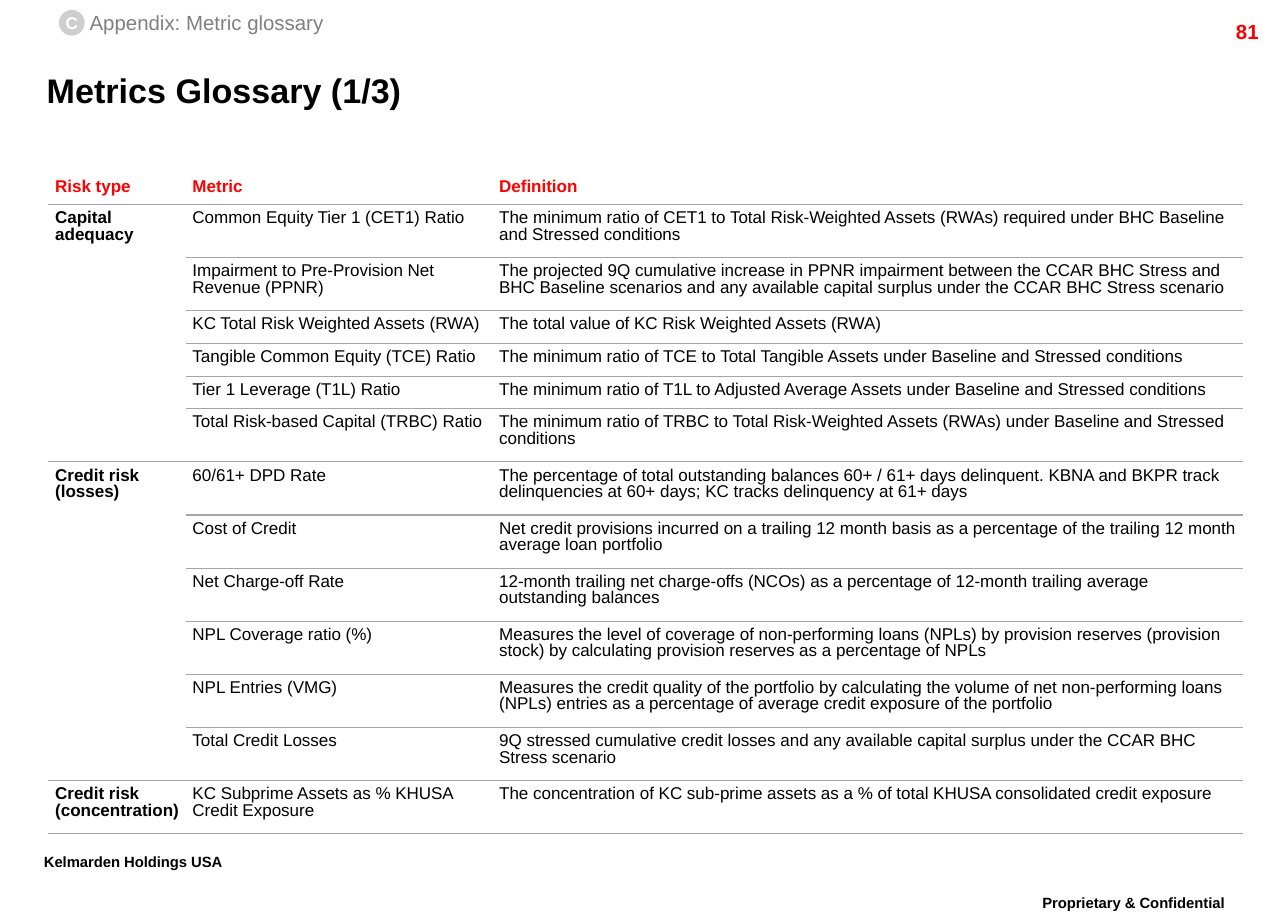
from lxml import etree
from pptx import Presentation
from pptx.dml.color import RGBColor
from pptx.enum import shapes, text
from pptx.oxml import ns
from pptx.util import Pt

HEAD = ("Risk type", "Metric", "Definition")
GROUPS = [
    ("Capital adequacy", [
        ("Common Equity Tier 1 (CET1) Ratio",
         "The minimum ratio of CET1 to Total Risk-Weighted Assets (RWAs) required under BHC Baseline and Stressed conditions", 2),
        ("Impairment to Pre-Provision Net Revenue (PPNR)",
         "The projected 9Q cumulative increase in PPNR impairment between the CCAR BHC Stress and BHC Baseline scenarios and any available capital surplus under the CCAR BHC Stress scenario", 2),
        ("KC Total Risk Weighted Assets (RWA)",
         "The total value of KC Risk Weighted Assets (RWA)", 1),
        ("Tangible Common Equity (TCE) Ratio",
         "The minimum ratio of TCE to Total Tangible Assets under Baseline and Stressed conditions", 1),
        ("Tier 1 Leverage (T1L) Ratio",
         "The minimum ratio of T1L to Adjusted Average Assets under Baseline and Stressed conditions", 1),
        ("Total Risk-based Capital (TRBC) Ratio",
         "The minimum ratio of TRBC to Total Risk-Weighted Assets (RWAs) under Baseline and Stressed conditions", 2),
    ]),
    ("Credit risk (losses)", [
        ("60/61+ DPD Rate",
         "The percentage of total outstanding balances 60+ / 61+ days delinquent. KBNA and BKPR track delinquencies at 60+ days; KC tracks delinquency at 61+ days", 2),
        ("Cost of Credit",
         "Net credit provisions incurred on a trailing 12 month basis as a percentage of the trailing 12 month average loan portfolio", 2),
        ("Net Charge-off Rate",
         "12-month trailing net charge-offs (NCOs) as a percentage of 12-month trailing average outstanding balances", 2),
        ("NPL Coverage ratio (%)",
         "Measures the level of coverage of non-performing loans (NPLs) by provision reserves (provision stock) by calculating provision reserves as a percentage of NPLs", 2),
        ("NPL Entries (VMG)",
         "Measures the credit quality of the portfolio by calculating the volume of net non-performing loans (NPLs) entries as a percentage of average credit exposure of the portfolio", 2),
        ("Total Credit Losses",
         "9Q stressed cumulative credit losses and any available capital surplus under the CCAR BHC Stress scenario", 2),
    ]),
    ("Credit risk (concentration)", [
        ("KC Subprime Assets as % KHUSA Credit Exposure",
         "The concentration of KC sub-prime assets as a % of total KHUSA consolidated credit exposure", 2),
    ]),
]
WIDTHS = (80.6, 180, 440)
HEIGHTS = {1: 19.2, 2: 31.2}
LEFT, TOP = 28.8, 100.8
INSET = 3.6
ALIGN = text.PP_ALIGN
MIDDLE = text.MSO_ANCHOR.MIDDLE


def color(value):
    return RGBColor.from_string(value)


def style(frame, size, shade="000000", bold=True, align=ALIGN.LEFT, space=None):
    para = frame.paragraphs[0]
    para.alignment = align
    if space:
        para.line_spacing = space
    font = para.runs[0].font
    font.name, font.size, font.bold = "Arial", Pt(size), bold
    font.color.rgb = color(shade)


def pad(frame, inset=0):
    frame.margin_left = frame.margin_right = Pt(inset)
    frame.margin_top = frame.margin_bottom = Pt(inset)


def label(slide, words, box, size, **look):
    frame = slide.shapes.add_textbox(*map(Pt, box)).text_frame
    frame.word_wrap = True
    frame.text = words
    style(frame, size, **look)
    return frame


def rule(cell, side):
    props = cell._tc.get_or_add_tcPr()
    line = etree.SubElement(props, ns.qn("a:ln" + side), w=str(Pt(0.75)))
    fill = etree.SubElement(line, ns.qn("a:solidFill"))
    etree.SubElement(fill, ns.qn("a:srgbClr"), val="A5A5A5")


def put(cell, words, sides, shade="000000", bold=False):
    if words:
        cell.text = words
        style(cell.text_frame, 10, shade, bold, space=0.86)
    cell.margin_left = cell.margin_right = Pt(INSET)
    cell.margin_top = cell.margin_bottom = Pt(INSET)
    for side in sides:
        rule(cell, side)
    cell.fill.background()


def glossary(slide):
    lines = [1] + [item[2] for _, items in GROUPS for item in items]
    tall = [HEIGHTS[n] for n in lines]
    table = slide.shapes.add_table(
        len(tall), len(WIDTHS), Pt(LEFT), Pt(TOP), Pt(sum(WIDTHS)), Pt(sum(tall))).table
    table.first_row = table.horz_banding = False
    for col, width in zip(table.columns, WIDTHS):
        col.width = Pt(width)
    for row, height in zip(table.rows, tall):
        row.height = Pt(height)
    for col, words in enumerate(HEAD):
        cell = table.cell(0, col)
        put(cell, words, "B", "FF0000", True)
        cell.vertical_anchor = MIDDLE
    row = 1
    for risk, items in GROUPS:
        last = row + len(items) - 1
        if last > row:
            table.cell(row, 0).merge(table.cell(last, 0))
        for at, (metric, meaning, _) in enumerate(items, row):
            first = at == row
            sides = "TB" if first else "B" if at == last else ""
            put(table.cell(at, 0), risk if first else "", sides, bold=True)
            put(table.cell(at, 1), metric, "TB")
            put(table.cell(at, 2), meaning, "TB")
        row = last + 1


def main():
    deck = Presentation()
    deck.slide_width, deck.slide_height = Pt(756), Pt(540)
    slide = deck.slides.add_slide(deck.slide_layouts[5])

    title = slide.shapes.title
    title.left, title.top, title.width, title.height = map(Pt, (27.4, 35.3, 682.6, 34.6))
    title.text_frame.text = "Metrics Glossary (1/3)"
    title.text_frame.vertical_anchor = MIDDLE
    pad(title.text_frame)
    style(title.text_frame, 20)

    badge = slide.shapes.add_shape(
        shapes.MSO_SHAPE.OVAL, Pt(34.6), Pt(5.8), Pt(15.1), Pt(15.1))
    badge.shadow.inherit = False
    badge.fill.solid()
    badge.fill.fore_color.rgb = color("CECECE")
    badge.line.fill.background()
    frame = badge.text_frame
    frame.text = "C"
    frame.word_wrap = False
    frame.vertical_anchor = MIDDLE
    pad(frame)
    style(frame, 10, "FFFFFF", align=ALIGN.CENTER)

    frame = label(slide, "Appendix: Metric glossary", (52.6, 5.8, 138.2, 14.4), 12,
                  shade="808080", bold=False)
    frame.word_wrap = False
    frame.vertical_anchor = MIDDLE
    pad(frame)

    label(slide, "81", (673.9, 7.9, 72, 17.3), 12, shade="FF0000", align=ALIGN.RIGHT)
    glossary(slide)

    for words, box, align in (
        ("Kelmarden Holdings USA", (18.7, 497.5, 137.5, 25.2), ALIGN.LEFT),
        ("Proprietary & Confidential", (586.8, 522, 157, 25.2), ALIGN.CENTER),
    ):
        frame = label(slide, words, box, 15, align=align, space=0.86)
        run = frame.paragraphs[0].runs[0]
        run._r.get_or_add_rPr().set("baseline", "30000")

    deck.save("out.pptx")


if __name__ == "__main__":
    main()
